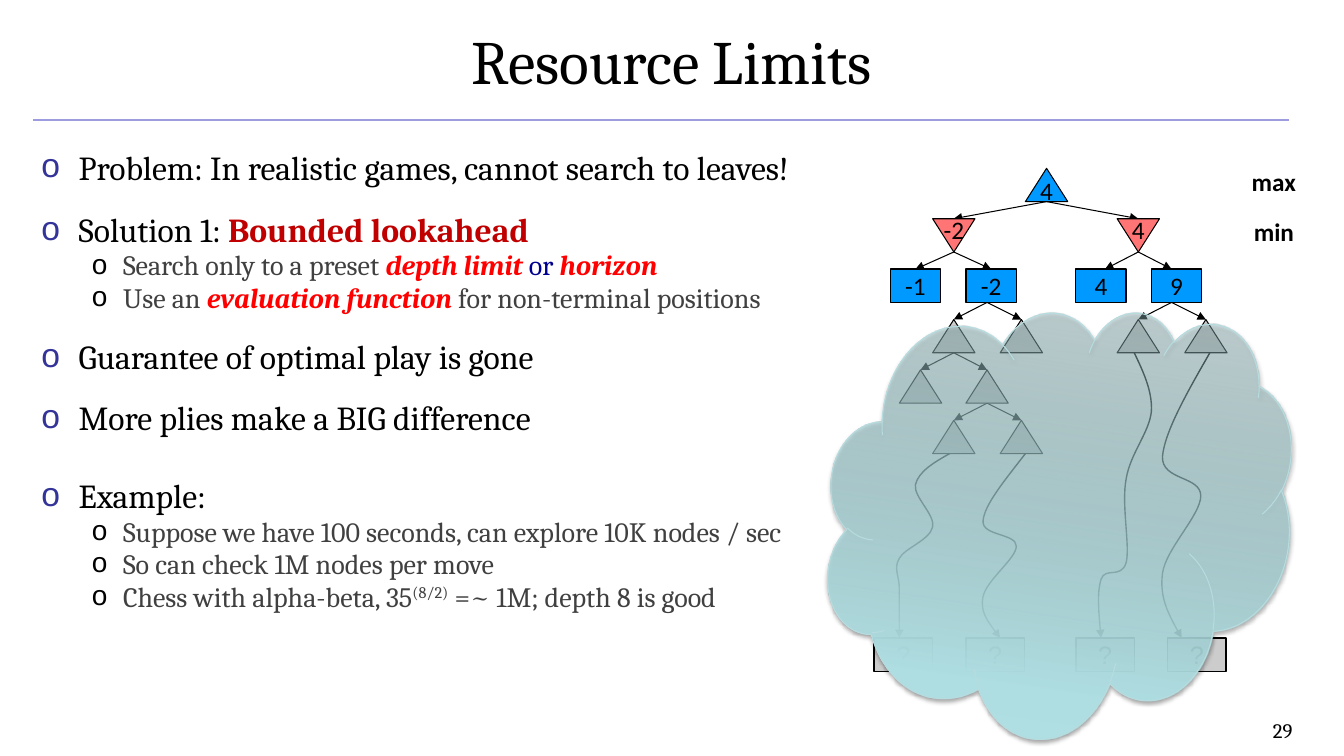
import pptx
import pptx.util
import pptx.dml.color
import pptx.enum.shapes
import pptx.enum.text
import pptx.oxml
import pptx.oxml.ns

Inches = pptx.util.Inches
Pt = pptx.util.Pt
SHAPE = pptx.enum.shapes.MSO_SHAPE
ALIGN = pptx.enum.text.PP_ALIGN
ANCHOR = pptx.enum.text.MSO_ANCHOR
NODE_WIDTH, NODE_HEIGHT, ROW_STEP = 0.42, 0.33, 0.5
BLUE, RED, GREY = "0099FF", "FF7575", "CCCCCC"


def color(value):
    return pptx.dml.color.RGBColor.from_string(value)


def append_xml(parent, markup):
    namespace = pptx.oxml.ns.nsdecls("a")
    tag, rest = markup[1:].split(" ", 1)
    parent.append(pptx.oxml.parse_xml(f"<{tag} {namespace} {rest}"))


def style_font(font, name=None, size=None, hex_color=None, bold=None, italic=None):
    if name:
        font.name = name
    if size:
        font.size = Pt(size)
    if hex_color:
        font.color.rgb = color(hex_color)
    font.bold = bold
    font.italic = italic


def set_frame(frame, anchor, insets=(0.1, 0.05, 0.1, 0.05), wrap=True):
    frame.word_wrap = wrap
    frame.vertical_anchor = anchor
    frame.margin_left, frame.margin_top, frame.margin_right, frame.margin_bottom = map(Inches, insets)


def add_text(slide, box, text, name, size, align, anchor=ANCHOR.MIDDLE, bold=None):
    shape = slide.shapes.add_textbox(*map(Inches, box))
    set_frame(shape.text_frame, anchor, (0.07, 0.04, 0.07, 0.04))
    paragraph = shape.text_frame.paragraphs[0]
    paragraph.text = text
    paragraph.alignment = align
    style_font(paragraph.font, name, size, "000000", bold)


def add_line(slide, start, end, hex_color, width, arrow=False):
    line = slide.shapes.add_connector(
        pptx.enum.shapes.MSO_CONNECTOR.STRAIGHT, *map(Inches, start + end))
    line.line.color.rgb = color(hex_color)
    line.line.width = Pt(width)
    if arrow:
        append_xml(line.line._get_or_add_ln(), '<a:tailEnd type="triangle"/>')
    append_xml(line._element.spPr, "<a:effectLst />")


def add_node(slide, kind, box, fill, text="", font="Calibri", anchor=ANCHOR.MIDDLE,
             insets=(0.1, 0.05, 0.1, 0.05), line_width=0.75, inverted=False):
    shape = slide.shapes.add_shape(kind, *map(Inches, box))
    shape.shadow.inherit = False
    shape.fill.solid()
    shape.fill.fore_color.rgb = color(fill)
    shape.line.color.rgb = color("000000")
    shape.line.width = Pt(line_width)
    if inverted:
        shape.rotation = 180
        shape._element.txBody.bodyPr.set("rot", "10800000")
    if text:
        set_frame(shape.text_frame, anchor, insets, wrap=False)
        paragraph = shape.text_frame.paragraphs[0]
        paragraph.text = text
        paragraph.alignment = ALIGN.CENTER
        style_font(paragraph.font, font, 18, "000000")


def add_curve(slide, left, top, points):
    controls = [(Inches(left + x), Inches(top + y)) for x, y in points]
    builder = slide.shapes.build_freeform(*controls[0], scale=1.0)
    builder.add_line_segments(controls[1:], close=False)
    shape = builder.convert_to_shape()
    segments = list(shape._element.iter(pptx.oxml.ns.qn("a:lnTo")))
    for start in range(0, len(segments), 3):
        curve = pptx.oxml.parse_xml(f'<a:cubicBezTo {pptx.oxml.ns.nsdecls("a")}/>')
        segments[start].addprevious(curve)
        for segment in segments[start:start + 3]:
            curve.append(segment[0])
            segment.getparent().remove(segment)
    shape.shadow.inherit = False
    shape.fill.background()
    shape.line.color.rgb = color("000000")
    shape.line.width = Pt(1)
    append_xml(shape.line._get_or_add_ln(), '<a:tailEnd type="triangle"/>')


def add_header(slide, left, top, width, height):
    add_line(slide, (left + 0.33, top + 1.22), (left + 12.78, top + 1.22), "9C9CDF", 1)
    add_text(slide, (left, top, width, height), "Resource Limits", "Cambria", 44, ALIGN.CENTER)


def add_outline(slide, left, top, width, height):
    emphasis = ("FF0000", True, True)
    entries = [
        (0, 0, [("Problem: In realistic games, cannot search to leaves!",)]),
        (0, 21.5, [("Solution 1: ",), ("Bounded lookahead", "C00000", True)]),
        (1, 4, [("Search only to a preset ",), ("depth limit", *emphasis),
                (" or ", "000090"), ("horizon", *emphasis)]),
        (1, 4, [("Use an ",), ("evaluation function ", *emphasis),
                ("for non-terminal positions",)]),
        (0, 21.5, [("Guarantee of optimal play is gone",)]),
        (0, 20.5, [("More plies make a BIG difference",)]),
        (0, 32.5, [("Example:",)]),
        (1, 4, [("Suppose we have 100 seconds, can explore 10K nodes / sec",)]),
        (1, 4, [("So can check 1M nodes per move",)]),
        (1, 4, [("Chess with alpha-beta, 35",), ("(8/2)",), (" =~ 1M; depth 8 is good",)]),
    ]
    levels = [(0.37, -0.37, "333399", 24, "000000"), (0.81, -0.31, "000000", 20, "404040")]
    frame = slide.shapes.add_textbox(*map(Inches, (left, top, width, height))).text_frame
    set_frame(frame, ANCHOR.TOP, (0.07, 0.04, 0.07, 0.04))
    for index, (level, gap, runs) in enumerate(entries):
        margin, indent, bullet_color, size, text_color = levels[level]
        paragraph = frame.add_paragraph() if index else frame.paragraphs[0]
        paragraph.level = level
        paragraph.line_spacing = 0.8
        paragraph.space_before = Pt(gap)
        properties = paragraph._p.get_or_add_pPr()
        properties.set("marL", str(Inches(margin)))
        properties.set("indent", str(Inches(indent)))
        append_xml(properties, f'<a:buClr ><a:srgbClr val="{bullet_color}"/></a:buClr>')
        append_xml(properties, '<a:buFont typeface="Arial"/>')
        append_xml(properties, '<a:buChar char="o"/>')
        style_font(paragraph.font, "Cambria", size, text_color)
        for text, *look in runs:
            run = paragraph.add_run()
            run.text = text
            if look:
                style_font(run.font, None, None, *look)
            if text == "(8/2)":
                run.font._element.set("baseline", "30000")


def add_game_tree(slide, left, top):
    def node_box(center, row, node_width=NODE_WIDTH):
        return left + center - node_width / 2, top + row * ROW_STEP, node_width, NODE_HEIGHT

    branches = [(1.71, 0, 0.79, 2.62), (0.79, 1, 0.41, 1.16), (2.62, 1, 2.29, 2.95),
                (1.12, 2, 0.79, 1.46), (2.95, 2, 2.62, 3.29),
                (0.79, 3, 0.46, 1.12), (1.12, 4, 0.79, 1.46)]
    for parent, row, *children in branches:
        bottom = top + row * ROW_STEP + NODE_HEIGHT
        for child in children:
            add_line(slide, (left + parent, bottom),
                     (left + child, top + (row + 1) * ROW_STEP), "000000", 0.75, True)

    unexplored = {3: (0.79, 1.46, 2.62, 3.29), 4: (0.46, 1.12), 5: (0.79, 1.46)}
    for row, centers in unexplored.items():
        for center in centers:
            add_node(slide, SHAPE.ISOSCELES_TRIANGLE, node_box(center, row), GREY)
    for offset in (0, 0.91, 2, 2.91):
        add_node(slide, SHAPE.RECTANGLE, (left + offset, top + 4.66, 0.58, NODE_HEIGHT),
                 GREY, "?", "Arial", line_width=1)

    curves = [
        [(0.75, 2.83), (0.59, 2.92), (0.44, 3.01), (0.41, 3.14), (0.39, 3.26), (0.61, 3.44),
         (0.58, 3.56), (0.55, 3.69), (0.3, 3.77), (0.25, 3.87), (0.19, 3.97), (0.25, 4.04),
         (0.25, 4.17), (0.25, 4.31), (0.25, 4.49), (0.25, 4.66)],
        [(1.5, 2.83), (1.3, 3.09), (1.09, 3.34), (1.08, 3.5), (1.07, 3.65), (1.41, 3.62),
         (1.41, 3.75), (1.41, 3.87), (1.11, 4.09), (1.08, 4.25), (1.05, 4.4), (1.15, 4.53),
         (1.25, 4.66)],
        [(3.33, 1.83), (3.1, 2.23), (2.88, 2.62), (2.86, 2.86), (2.85, 3.1), (3.24, 3.05),
         (3.24, 3.25), (3.24, 3.44), (2.89, 3.78), (2.86, 4.02), (2.83, 4.26), (2.94, 4.46),
         (3.05, 4.66)],
        [(2.58, 1.83), (2.67, 2.02), (2.76, 2.21), (2.75, 2.41), (2.73, 2.62), (2.54, 2.83),
         (2.5, 3.08), (2.45, 3.33), (2.54, 3.75), (2.5, 3.91), (2.45, 4.08), (2.29, 3.95),
         (2.25, 4.08), (2.21, 4.21), (2.23, 4.43), (2.25, 4.66)],
    ]
    for points in curves:
        add_curve(slide, left, top, points)

    for center, value in [(0.41, "-1"), (1.16, "-2"), (2.25, "4"), (3, "9")]:
        add_node(slide, SHAPE.RECTANGLE, node_box(center, 2, 0.5), BLUE, value, line_width=1)
    add_node(slide, SHAPE.ISOSCELES_TRIANGLE, node_box(1.71, 0), BLUE, "4",
             anchor=ANCHOR.BOTTOM, insets=(0.1, 0.2, 0.1, 0.05))
    for center, value in [(0.79, "-2"), (2.62, "4")]:
        add_node(slide, SHAPE.ISOSCELES_TRIANGLE, node_box(center, 1), RED, value,
                 insets=(0.1, 0.1, 0.1, 0.05), inverted=True)
    for row, label in enumerate(("max", "min")):
        add_text(slide, (left + 3.6, top - 0.07 + row * ROW_STEP, 0.73, 0.4), label,
                 "Calibri", 18, ALIGN.CENTER, bold=True)


def add_cloud(slide, left, top, width, height):
    cloud = slide.shapes.add_shape(SHAPE.CLOUD, *map(Inches, (left, top, width, height)))
    cloud.rotation = 8.4
    properties = cloud._element.spPr
    append_xml(properties, '<a:gradFill rotWithShape="1"><a:gsLst>'
               '<a:gs pos="0"><a:srgbClr val="87ABAE"><a:alpha val="30000"/></a:srgbClr></a:gs>'
               '<a:gs pos="80000"><a:srgbClr val="AFDEE2"/></a:gs>'
               '<a:gs pos="100000"><a:srgbClr val="AFE0E4"/></a:gs>'
               '</a:gsLst><a:lin ang="5400000" scaled="0"/></a:gradFill>')
    cloud.line.color.rgb = color("B6DCDF")
    cloud.line.width = Pt(0.75)
    append_xml(properties, f'<a:effectLst ><a:outerShdw blurRad="{Pt(3.1)}" dist="{Pt(1.8)}" '
               'dir="5400000" rotWithShape="0"><a:srgbClr val="000000"><a:alpha val="35000"/>'
               '</a:srgbClr></a:outerShdw></a:effectLst>')


def main():
    presentation = pptx.Presentation()
    presentation.slide_width, presentation.slide_height = Inches(13.33), Inches(7.5)
    slide = presentation.slides.add_slide(presentation.slide_layouts[6])
    add_header(slide, 0, -0.03, 13.33, 1.25)
    add_outline(slide, 0.34, 1.49, 7.75, 4.95)
    add_game_tree(slide, 8.67, 1.67)
    add_cloud(slide, 8.21, 3, 4.58, 4.33)
    add_text(slide, (10.56, 7.08, 2.33, 0.32), "29", "Cambria", 14.7, ALIGN.RIGHT, ANCHOR.TOP)
    presentation.save("out.pptx")


if __name__ == "__main__":
    main()
